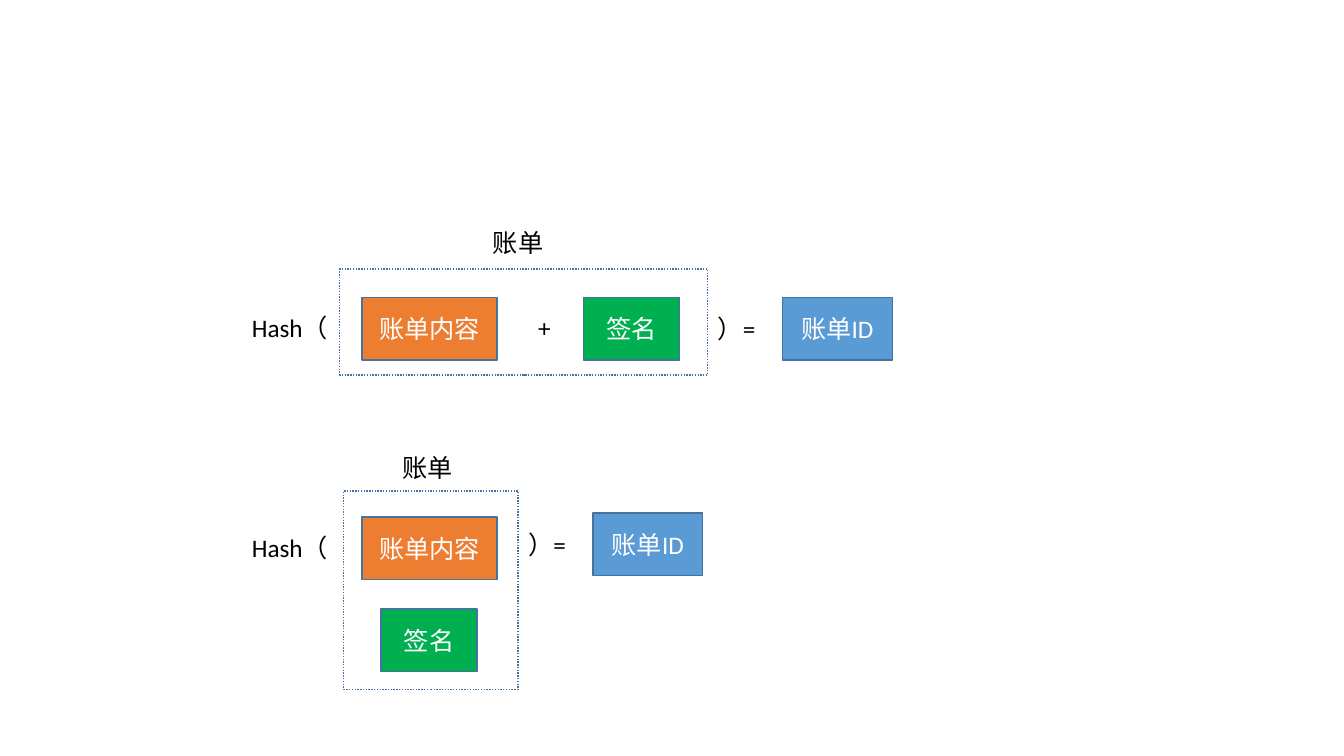
from pptx import Presentation
from pptx.dml.color import RGBColor
from pptx.enum.dml import MSO_LINE
from pptx.enum.shapes import MSO_SHAPE
from pptx.enum.text import MSO_ANCHOR, MSO_AUTO_SIZE, PP_ALIGN
from pptx.util import Pt

PX = 9144  # 100 px to the inch
ORANGE = RGBColor(0xED, 0x7D, 0x31)
GREEN = RGBColor(0x00, 0xB0, 0x50)
BLUE = RGBColor(0x5B, 0x9B, 0xD5)
EDGE = RGBColor(0x43, 0x73, 0x9E)
WHITE = RGBColor(0xFF, 0xFF, 0xFF)
BLACK = RGBColor(0x00, 0x00, 0x00)


def scale(*sizes):
    return [size * PX for size in sizes]


def style(para, color):
    para.font.name = "Calibri"
    para.font.size = Pt(18)
    para.font.color.rgb = color


def add_rect(slide, x, y, w, h):
    rect = slide.shapes.add_shape(MSO_SHAPE.RECTANGLE, *scale(x, y, w, h))
    rect.shadow.inherit = False
    rect.line.color.rgb = EDGE
    rect.line.width = Pt(1)
    return rect


def add_block(slide, x, y, w, text, fill):
    block = add_rect(slide, x, y, w, 62)
    block.fill.solid()
    block.fill.fore_color.rgb = fill
    frame = block.text_frame
    frame.vertical_anchor = MSO_ANCHOR.MIDDLE
    para = frame.paragraphs[0]
    para.text = text
    para.alignment = PP_ALIGN.CENTER
    style(para, WHITE)


def add_label(slide, x, y, w, text, wrap=False):
    frame = slide.shapes.add_textbox(*scale(x, y, w, 40)).text_frame
    frame.word_wrap = wrap
    frame.auto_size = MSO_AUTO_SIZE.SHAPE_TO_FIT_TEXT
    para = frame.paragraphs[0]
    para.text = text
    style(para, BLACK)


def add_hash(slide, box, title, body, sign, result):
    """Hash of a bill; title, body and sign are offsets from the box corner."""
    x, y, w, h = box
    end = x + w

    # Dotted frame and its title
    bill = add_rect(slide, *box)
    bill.fill.background()
    bill.line.dash_style = MSO_LINE.ROUND_DOT
    add_label(slide, x + title[0], y + title[1], title[2], "账单", title[3])

    # Bill parts inside the frame
    add_block(slide, x + body[0], y + body[1], 134, "账单内容", ORANGE)
    add_block(slide, x + sign[0], y + sign[1], 95, "签名", GREEN)

    # Function call around the frame and its result
    add_label(slide, x + body[0] - 119, y + body[1] + 10, 96, "Hash（")
    add_label(slide, end, y + result + 11, 58, "）=")
    add_block(slide, end + 74, y + result, 109, "账单ID", BLUE)


def main():
    prs = Presentation()
    prs.slide_width, prs.slide_height = scale(1333, 750)
    slide = prs.slides.add_slide(prs.slide_layouts[6])

    # Parts side by side
    add_hash(slide, (337, 267, 365, 105), title=(142, -46, 71, False),
             body=(22, 28), sign=(242, 28), result=28)
    add_label(slide, 524, 305, 33, "+")

    # Parts stacked
    add_hash(slide, (341, 487, 173, 197), title=(48, -43, 73, True),
             body=(18, 26), sign=(37, 117), result=22)

    prs.save("out.pptx")


if __name__ == "__main__":
    main()
